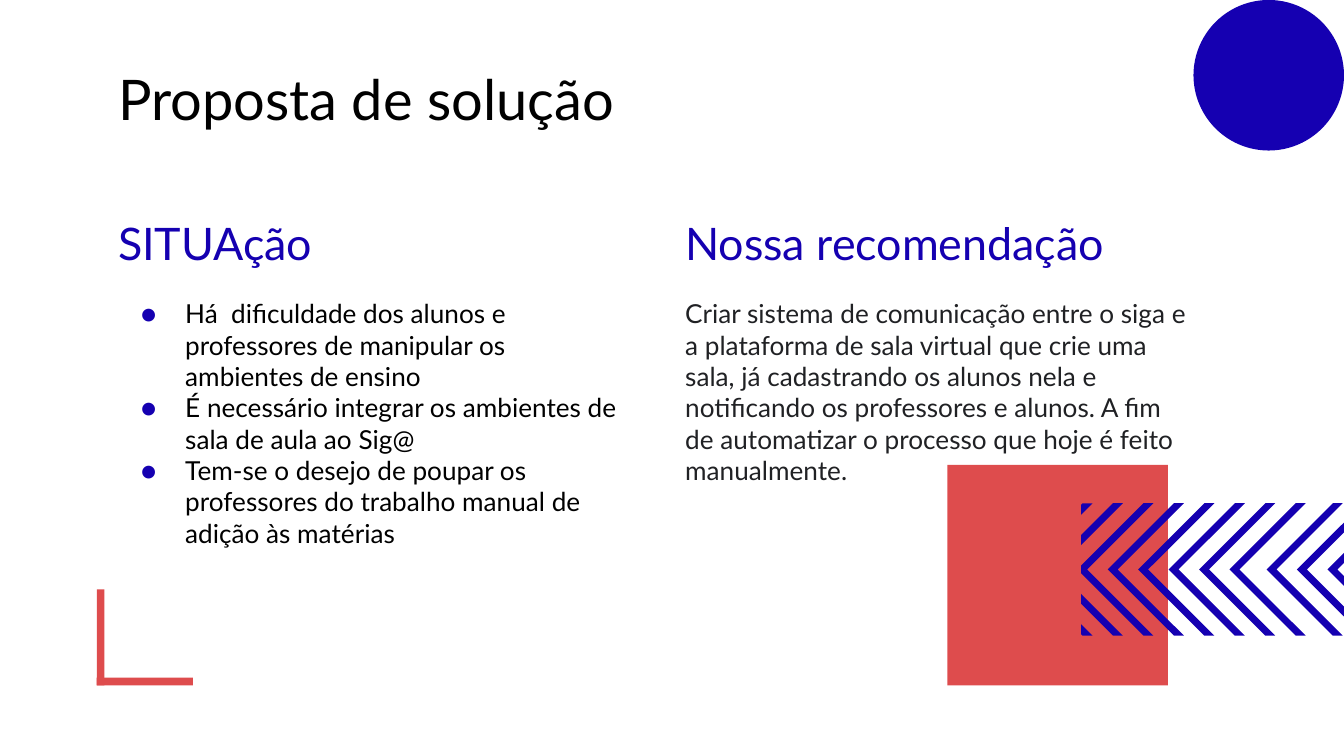
"""Build the solution proposal slide."""
import dataclasses

import lxml.etree
import pptx
import pptx.dml.color
import pptx.enum.shapes
import pptx.enum.text
import pptx.oxml.ns
import pptx.util


@dataclasses.dataclass(frozen=True)
class Theme:
    """Colours, type and sizes, with the grid unit in inches."""
    font: str = "Lato"
    black: str = "000000"
    grey: str = "202124"
    blue: str = "1500B1"
    red: str = "DE4C4D"
    title: int = 30
    heading: int = 24
    body: int = 14
    bullet: int = 12
    unit: float = 0.1


THEME = Theme()
COLS, ROWS = 100, 56.25
SITUATION = [
    "Há  dificuldade dos alunos e professores de manipular os ambientes de ensino",
    "É necessário integrar os ambientes de sala de aula ao Sig@",
    "Tem-se o desejo de poupar os professores do trabalho manual de adição às matérias",
]
RECOMMENDATION = [
    "Criar sistema de comunicação entre o siga e a plataforma de sala virtual que crie uma "
    "sala, já cadastrando os alunos nela e notificando os professores e alunos. A fim de "
    "automatizar o processo que hoje é feito manualmente.",
]


def grid(units):
    """Turn grid units into a length."""
    return pptx.util.Inches(units * THEME.unit)


def paint(sp, color):
    """Give a shape a flat fill with no line or shadow."""
    sp.shadow.inherit = False
    sp.fill.solid()
    sp.fill.fore_color.rgb = pptx.dml.color.RGBColor.from_string(color)
    sp.line.fill.background()


def add_bullet(p):
    """Give a paragraph a hanging round bullet."""
    pPr = p._p.get_or_add_pPr()
    pPr.set("marL", str(pptx.util.Inches(0.5)))
    pPr.set("indent", str(pptx.util.Inches(-0.33)))
    clr = lxml.etree.SubElement(pPr, pptx.oxml.ns.qn("a:buClr"))
    lxml.etree.SubElement(clr, pptx.oxml.ns.qn("a:srgbClr"), val=THEME.blue)
    lxml.etree.SubElement(pPr, pptx.oxml.ns.qn("a:buSzPts"), val=str(THEME.bullet * 100))
    lxml.etree.SubElement(pPr, pptx.oxml.ns.qn("a:buFont"), typeface=THEME.font)
    lxml.etree.SubElement(pPr, pptx.oxml.ns.qn("a:buChar"), char="●")


def write(sp, lines, size, color, bullets=False):
    """Fill a text shape with one paragraph for each line."""
    tf = sp.text_frame
    tf.word_wrap = True
    tf.auto_size = pptx.enum.text.MSO_AUTO_SIZE.NONE
    tf.vertical_anchor = pptx.enum.text.MSO_ANCHOR.TOP
    tf.margin_left = tf.margin_right = tf.margin_top = tf.margin_bottom = grid(1)
    for i, line in enumerate(lines):
        p = tf.add_paragraph() if i else tf.paragraphs[0]
        if bullets:
            add_bullet(p)
        p.alignment = pptx.enum.text.PP_ALIGN.LEFT
        p.line_spacing = 1.0
        p.space_before = pptx.util.Pt(0)
        r = p.add_run()
        r.text = line
        r.font.name = THEME.font
        r.font.size = pptx.util.Pt(size)
        r.font.color.rgb = pptx.dml.color.RGBColor.from_string(color)


def place_title(slide, box, text):
    """Move and format the title placeholder."""
    sp = slide.shapes.title
    sp.left, sp.top, sp.width, sp.height = map(grid, box)
    write(sp, [text], THEME.title, THEME.black)


def add_column(slide, box, heading, lines, color, bullets=False):
    """Place a heading with its text below."""
    x, y, w, h = box
    head = 0.2 * h
    gap = 0.02 * h
    sp = slide.shapes.add_textbox(*map(grid, (x, y, w, head)))
    write(sp, [heading], THEME.heading, THEME.blue)
    sp = slide.shapes.add_textbox(*map(grid, (x, y + head + gap, w, h - head - gap)))
    write(sp, lines, THEME.body, color, bullets)


def add_block(shapes, box, color, kind=pptx.enum.shapes.MSO_SHAPE.RECTANGLE):
    """Place a flat preset shape."""
    paint(shapes.add_shape(kind, *map(grid, box)), color)


def add_corner(slide, box):
    """Draw an L-shaped bracket along the left and bottom of a box."""
    x, y, w, h = box
    thick = 0.08 * w
    shapes = slide.shapes.add_group_shape().shapes
    add_block(shapes, (x, y, thick, h), THEME.red)
    add_block(shapes, (x, y + h - thick, w, thick), THEME.red)


def add_chevrons(slide, box):
    """Draw left-pointing chevrons, cut off at the sides of a box."""
    x, y, w, h = box
    half = h / 2
    stroke, pitch = 0.15 * half, 0.46 * half
    tips = [-0.98 * half + pitch * i for i in range(8)]
    tips += [2.8 * half + pitch * i for i in range(3)]
    shapes = slide.shapes.add_group_shape().shapes
    for tip in tips:
        inner = tip + stroke
        ends = [(max(tip, 0), tip), (min(tip + half, w), tip),
                (min(inner + half, w), inner), (max(inner, 0), inner)]
        lower, upper = ([(x + px, y + half + side * (px - start)) for px, start in ends]
                        for side in (1, -1))
        outlines = [lower + upper[::-1]] if inner >= 0 else [lower, upper]
        for points in outlines:
            points = [(grid(px), grid(py)) for px, py in dict.fromkeys(points)]
            fb = shapes.build_freeform(*points[0])
            fb.add_line_segments(points[1:], close=True)
            paint(fb.convert_to_shape(), THEME.blue)


def main():
    """Build and save the slide."""
    prs = pptx.Presentation()
    prs.slide_width, prs.slide_height = grid(COLS), grid(ROWS)
    slide = prs.slides.add_slide(prs.slide_layouts[5])
    place_title(slide, (7.8, 3.8, 84.5, 6.3), "Proposta de solução")
    add_column(slide, (7.8, 15.05, 39.8, 27.7), "SITUAção", SITUATION, THEME.black, True)
    add_column(slide, (50, 15.05, 39.8, 27.7), "Nossa recomendação", RECOMMENDATION, THEME.grey)
    add_block(slide.shapes, (70.5, 34.6, 16.4, 16.4), THEME.red)
    add_chevrons(slide, (80.45, 37.45, 19.55, 9.85))
    add_corner(slide, (7.2, 43.85, 7.15, 7.15))
    add_block(slide.shapes, (88.8, 0, 11.2, 11.2), THEME.blue,
              pptx.enum.shapes.MSO_SHAPE.OVAL)
    prs.save("out.pptx")


if __name__ == "__main__":
    main()
